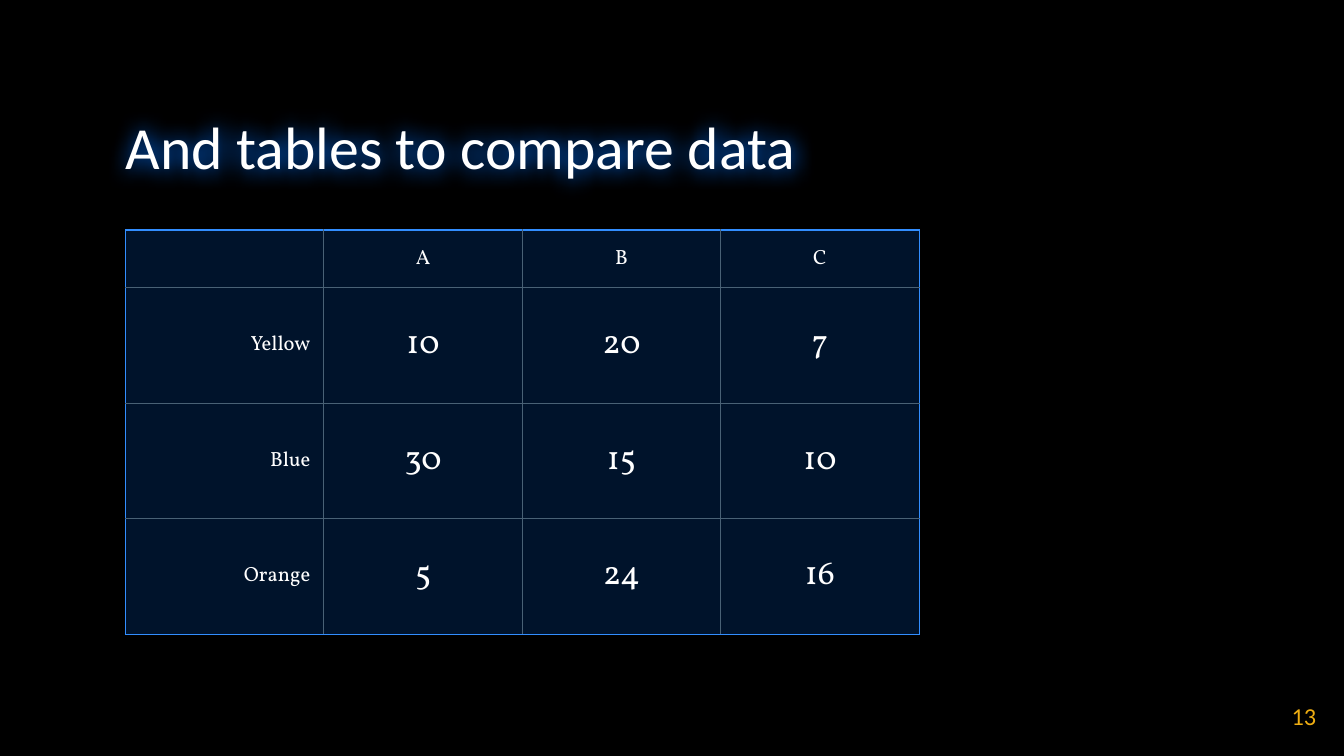
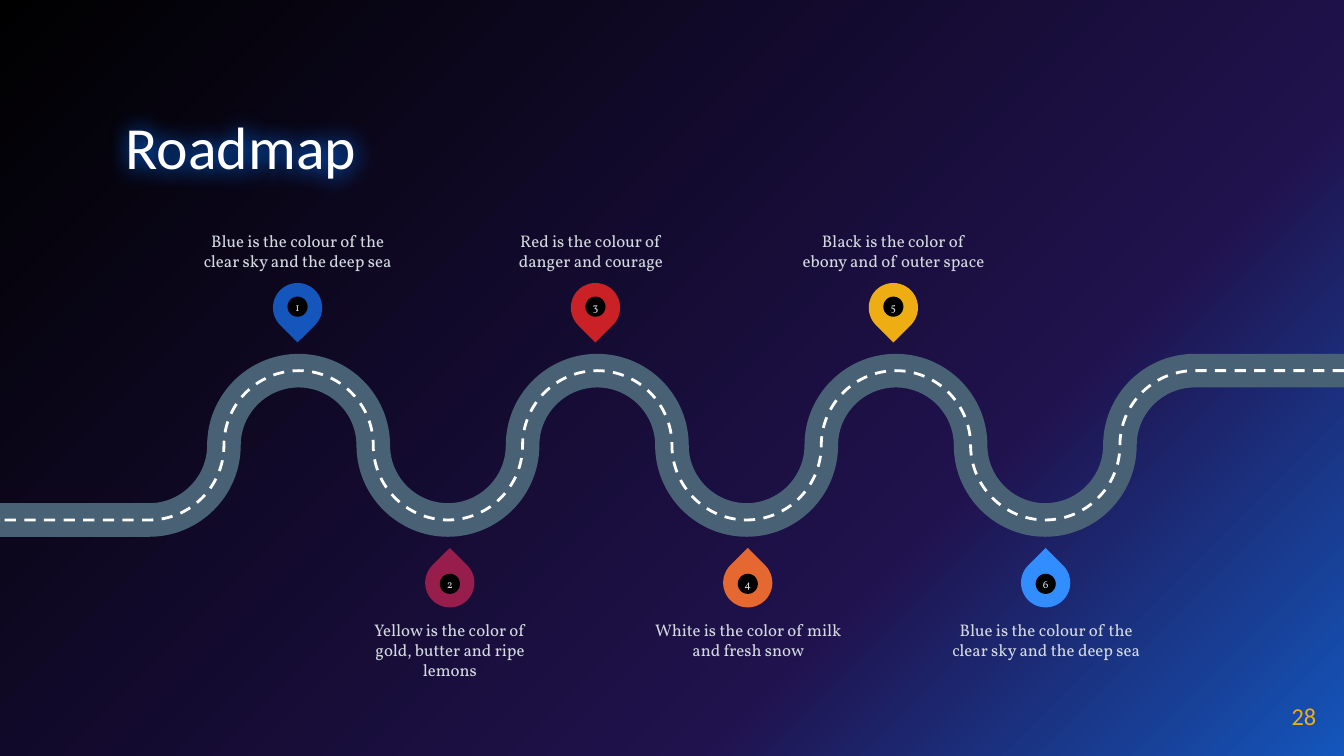
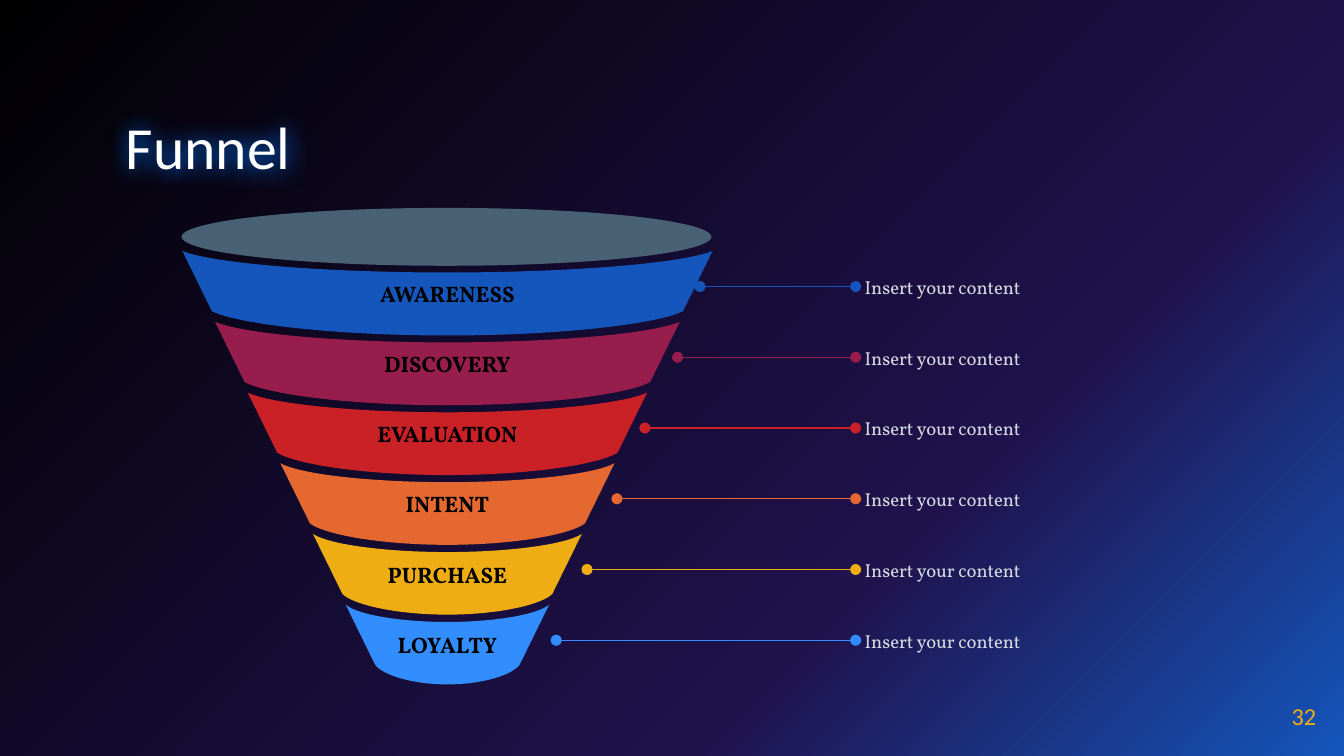
"""Build three dark slides: a comparison table, a winding roadmap and a funnel."""
import lxml.etree
import pptx
import pptx.dml.color
import pptx.enum.dml
import pptx.enum.shapes
import pptx.enum.text
import pptx.oxml.ns
import pptx.util

Pt = pptx.util.Pt
RGBColor = pptx.dml.color.RGBColor
Align = pptx.enum.text.PP_ALIGN
Anchor = pptx.enum.text.MSO_ANCHOR
Preset = pptx.enum.shapes.MSO_SHAPE

BLACK = RGBColor(0x00, 0x00, 0x00)
WHITE = RGBColor(0xFF, 0xFF, 0xFF)
LIGHT = RGBColor(0xD3, 0xD9, 0xDF)
SLATE = RGBColor(0x49, 0x61, 0x75)
GLOW = RGBColor(0x00, 0x72, 0xFF)
INDIGO = RGBColor(0x20, 0x12, 0x4D)
BLUE = RGBColor(0x14, 0x56, 0xBB)
PLUM = RGBColor(0x97, 0x1D, 0x4D)
RED = RGBColor(0xC9, 0x21, 0x26)
ORANGE = RGBColor(0xE4, 0x68, 0x2F)
YELLOW = RGBColor(0xEE, 0xAD, 0x12)
SKY = RGBColor(0x32, 0x8E, 0xFF)

HEADING_FONT = "Calibri"
BODY_FONT = "Vollkorn"
GRADIENT = [(0, BLUE), (31, INDIGO), (100, BLACK)]

TABLE_ROWS = [
    ("", "A", "B", "C"),
    ("Yellow", "10", "20", "7"),
    ("Blue", "30", "15", "10"),
    ("Orange", "5", "24", "16"),
]
COLUMN_WIDTH = 106.3
ROW_HEIGHTS = [30.9, 61.9, 61.9, 61.9]

# caption, colour, caption centre
MILESTONES = [
    ("Blue is the colour of the clear sky and the deep sea", BLUE, 159.4),
    ("Yellow is the color of gold, butter and ripe lemons", PLUM, 241),
    ("Red is the colour of danger and courage", RED, 316.5),
    ("White is the color of milk and fresh snow", ORANGE, 400.8),
    ("Black is the color of ebony and of outer space", YELLOW, 478.6),
    ("Blue is the colour of the clear sky and the deep sea", SKY, 560.4),
]
PIN_ROWS = [
    {"first": 159.4, "pin_y": 164.8, "dot_y": 164.3, "rotation": 135,
     "caption_top": 103, "anchor": Anchor.BOTTOM},
    {"first": 241, "pin_y": 312.2, "dot_y": 312.8, "rotation": 315,
     "caption_top": 332, "anchor": Anchor.TOP},
]
PIN_SPACING = 159.6
ROAD_MIDDLE, BEND_RADIUS = 238.6, 40
ARC_REACH = 0.55 * BEND_RADIUS

# stage, colour, start of its leader line
STAGES = [
    ("AWARENESS", BLUE, 375),
    ("DISCOVERY", PLUM, 363),
    ("EVALUATION", RED, 345.5),
    ("INTENT", ORANGE, 330.5),
    ("PURCHASE", YELLOW, 314.5),
    ("LOYALTY", SKY, 298),
]
STAGE_NOTE = "Insert your content"
FUNNEL_CENTRE, FUNNEL_TOP, STAGE_STEP = 239.7, 134.5, 37.9


def add_child(parent, tag, **attributes):
    """Append an XML child element and return it."""
    return lxml.etree.SubElement(parent, pptx.oxml.ns.qn(tag), attributes)


def write_text(frame, text, size, color, font=BODY_FONT, align=Align.LEFT,
               bold=False):
    """Fill a text frame with one formatted paragraph."""
    frame.text = text
    frame.word_wrap = True
    paragraph = frame.paragraphs[0]
    paragraph.alignment = align
    for run in paragraph.runs:
        run.font.name = font
        run.font.size = Pt(size)
        run.font.bold = bold
        run.font.color.rgb = color
    return paragraph


def set_body(frame, anchor, side=0, edge=0):
    """Set the anchor and the insets of a text frame."""
    frame.vertical_anchor = anchor
    frame.margin_left = frame.margin_right = Pt(side)
    frame.margin_top = frame.margin_bottom = Pt(edge)


def add_text(slide, box, text, size, color, anchor=Anchor.MIDDLE, **style):
    """Add a text box without insets."""
    frame = slide.shapes.add_textbox(*map(Pt, box)).text_frame
    set_body(frame, anchor)
    write_text(frame, text, size, color, **style)


def paint(shape, color):
    """Give a shape a plain fill without line or shadow."""
    shape.shadow.inherit = False
    shape.fill.solid()
    shape.fill.fore_color.rgb = color
    shape.line.fill.background()


def add_preset(shapes, preset, centre_x, centre_y, width, height, color):
    """Add a painted preset shape around a centre point."""
    shape = shapes.add_shape(preset, Pt(centre_x - width / 2),
                             Pt(centre_y - height / 2), Pt(width), Pt(height))
    paint(shape, color)
    return shape


def add_outline(shapes, start, segments, close):
    """Add a freeform of lines (one point) and cubic curves (three points)."""
    builder = shapes.build_freeform(*map(Pt, start))
    builder.add_line_segments(
        [(Pt(x), Pt(y)) for segment in segments for x, y in segment],
        close=close)
    shape = builder.convert_to_shape()
    shape.shadow.inherit = False
    lines = iter(list(shape.element.iter(pptx.oxml.ns.qn("a:lnTo"))))
    for segment in segments:
        first, *others = [next(lines) for _ in segment]
        if others:
            first.tag = pptx.oxml.ns.qn("a:cubicBezTo")
            for line in others:
                first.append(line[0])
                line.getparent().remove(line)
    return shape


def set_gradient(slide):
    """Spread the shared gradient from the bottom right corner."""
    properties = slide.element.find(".//" + pptx.oxml.ns.qn("p:bgPr"))
    properties.remove(properties[0])
    gradient = add_child(properties, "a:gradFill", rotWithShape="1")
    properties.insert(0, gradient)
    stops = add_child(gradient, "a:gsLst")
    for position, color in GRADIENT:
        stop = add_child(stops, "a:gs", pos=str(position * 1000))
        add_child(stop, "a:srgbClr", val=str(color))
    circle = add_child(gradient, "a:path", path="circle")
    add_child(circle, "a:fillToRect", l="100000", t="100000")


def add_slide(presentation, title, number, gradient=True):
    """Add a slide with its background, glowing title and page number."""
    slide = presentation.slides.add_slide(presentation.slide_layouts[5])
    slide.background.fill.solid()
    slide.background.fill.fore_color.rgb = BLACK
    if gradient:
        set_gradient(slide)
    heading = slide.shapes.title
    heading.left, heading.top, heading.width, heading.height = map(
        Pt, (67.3, 66, 430, 31))
    frame = heading.text_frame
    set_body(frame, Anchor.MIDDLE)
    frame.auto_size = pptx.enum.text.MSO_AUTO_SIZE.NONE
    write_text(frame, title, 32, WHITE, HEADING_FONT).line_spacing = 0.8
    effects = add_child(heading.element.spPr, "a:effectLst")
    shadow = add_child(effects, "a:outerShdw", blurRad=str(Pt(12)),
                       algn="bl", rotWithShape="0")
    add_child(shadow, "a:srgbClr", val=str(GLOW))
    add_text(slide, (661.5, 368, 43.5, 31), str(number), 13, YELLOW,
             font=HEADING_FONT, align=Align.RIGHT)
    return slide


def format_cell(cell, borders):
    """Tint a cell and draw its four borders."""
    set_body(cell, Anchor.MIDDLE, 7.2, 5)
    cell.fill.solid()
    cell.fill.fore_color.rgb = GLOW
    properties = cell._tc.get_or_add_tcPr()
    tint = properties.find(".//" + pptx.oxml.ns.qn("a:srgbClr"))
    add_child(tint, "a:alpha", val="17000")
    for index, (side, color) in enumerate(borders.items()):
        line = add_child(properties, "a:ln" + side, w=str(Pt(0.75)))
        add_child(add_child(line, "a:solidFill"), "a:srgbClr", val=str(color))
        properties.insert(index, line)


def build_table(presentation):
    """Build the comparison table slide."""
    slide = add_slide(presentation, "And tables to compare data", 13, False)
    last_row, last_column = len(TABLE_ROWS) - 1, len(TABLE_ROWS[0]) - 1
    table = slide.shapes.add_table(
        last_row + 1, last_column + 1, Pt(67.2), Pt(123.2),
        Pt(COLUMN_WIDTH * (last_column + 1)), Pt(sum(ROW_HEIGHTS))).table
    table.first_row = table.horz_banding = False
    for column in table.columns:
        column.width = Pt(COLUMN_WIDTH)
    for row, values in enumerate(TABLE_ROWS):
        table.rows[row].height = Pt(ROW_HEIGHTS[row])
        for column, value in enumerate(values):
            cell = table.cell(row, column)
            size = 18 if row and column else 11
            align = Align.CENTER if column else Align.RIGHT
            paragraph = write_text(cell.text_frame, value, size, WHITE,
                                   align=align)
            if not value:
                add_child(paragraph._p, "a:endParaRPr", sz=str(size * 100))
            outer = {"L": column == 0, "R": column == last_column,
                     "T": row == 0, "B": row == last_row}
            format_cell(cell, {side: SKY if edge else SLATE
                               for side, edge in outer.items()})


def road_segments():
    """Trace the road from right to left through alternating half circles."""
    segments = []
    centres = range(640, 79, -2 * BEND_RADIUS)
    for index, centre in enumerate(centres):
        direction = 1 if index % 2 else -1
        peak = ROAD_MIDDLE + direction * BEND_RADIUS
        shoulder = ROAD_MIDDLE + direction * ARC_REACH
        right, left = centre + BEND_RADIUS, centre - BEND_RADIUS
        if index == 0:
            segments.append([(centre, peak)])
        else:
            segments.append([(right, shoulder), (centre + ARC_REACH, peak),
                             (centre, peak)])
        if index == len(centres) - 1:
            segments.append([(0, peak)])
        else:
            segments.append([(centre - ARC_REACH, peak), (left, shoulder),
                             (left, ROAD_MIDDLE)])
    return segments


def build_roadmap(presentation):
    """Build the roadmap slide."""
    slide = add_slide(presentation, "Roadmap", 28)
    for color, width, dash in [
            (SLATE, 18, None),
            (WHITE, 1.5, pptx.enum.dml.MSO_LINE.DASH)]:
        road = add_outline(slide.shapes, (720, ROAD_MIDDLE - BEND_RADIUS),
                           road_segments(), False)
        road.fill.background()
        road.line.color.rgb = color
        road.line.width = Pt(width)
        road.line.dash_style = dash
    for index, (caption, color, caption_x) in enumerate(MILESTONES):
        row = PIN_ROWS[index % 2]
        centre = row["first"] + index // 2 * PIN_SPACING
        group = slide.shapes.add_group_shape()
        pin = add_preset(group.shapes, Preset.TEAR, centre, row["pin_y"],
                         26.4, 26.4, color)
        pin.rotation = row["rotation"]
        dot = add_preset(group.shapes, Preset.OVAL, centre, row["dot_y"],
                         10.8, 10.8, BLACK)
        set_body(dot.text_frame, Anchor.MIDDLE)
        write_text(dot.text_frame, str(index + 1), 6, LIGHT,
                   align=Align.CENTER)
        add_text(slide, (caption_x - 50.75, row["caption_top"], 101.5, 42),
                 caption, 9, LIGHT, row["anchor"], align=Align.CENTER)


def stage_segments(index):
    """Trace one funnel band from its top left corner."""
    half = 142 - 17.5 * index
    low_half = half - 15.8
    sag = 11.5 - 0.45 * index
    corner = 32.2
    height = 45.2 - 0.5 * index
    bend = (corner + height) / 2
    segments = [
        [(-low_half, corner)],
        [(-0.9 * low_half, bend), (-0.5 * low_half, height), (0, height)],
        [(0.5 * low_half, height), (0.9 * low_half, bend),
         (low_half, corner)],
        [(half, 0)],
        [(0.87 * half, 0.62 * sag), (0.43 * half, sag), (0, sag)],
        [(-0.43 * half, sag), (-0.87 * half, 0.62 * sag), (-half, 0)],
    ]
    top = FUNNEL_TOP + STAGE_STEP * index
    return [[(FUNNEL_CENTRE + x, top + y) for x, y in segment]
            for segment in segments]


def add_leader(slide, start, end, y, color):
    """Add a thin line with a round dot at each end."""
    leader = slide.shapes.add_connector(
        pptx.enum.shapes.MSO_CONNECTOR.STRAIGHT,
        Pt(start), Pt(y), Pt(end), Pt(y))
    leader.line.color.rgb = color
    leader.line.width = Pt(0.75)
    properties = leader.element.spPr
    line = properties.find(pptx.oxml.ns.qn("a:ln"))
    for tag in ("a:headEnd", "a:tailEnd"):
        add_child(line, tag, type="oval", w="med", len="med")
    add_child(properties, "a:effectLst")


def build_funnel(presentation):
    """Build the funnel slide."""
    slide = add_slide(presentation, "Funnel", 32)
    funnel = slide.shapes.add_group_shape()
    for index, (stage, color, leader_start) in enumerate(STAGES):
        segments = stage_segments(index)
        band = add_outline(funnel.shapes, segments[-1][-1], segments, True)
        paint(band, color)
        set_body(band.text_frame, Anchor.MIDDLE, 5, 2.5)
        write_text(band.text_frame, stage, 12, BLACK, align=Align.CENTER,
                   bold=True)
        leader_y = 153.5 + STAGE_STEP * index
        add_leader(slide, leader_start, 458.4, leader_y, color)
        add_text(slide, (463.2, leader_y - 13.5, 219.6, 27.4), STAGE_NOTE, 10,
                 LIGHT)
    add_preset(funnel.shapes, Preset.OVAL, 239.2, 126.9, 283.8, 31, SLATE)


def main():
    """Build and save the presentation."""
    presentation = pptx.Presentation()
    presentation.slide_width = Pt(720)
    presentation.slide_height = Pt(405)
    build_table(presentation)
    build_roadmap(presentation)
    build_funnel(presentation)
    presentation.save("out.pptx")


if __name__ == "__main__":
    main()
